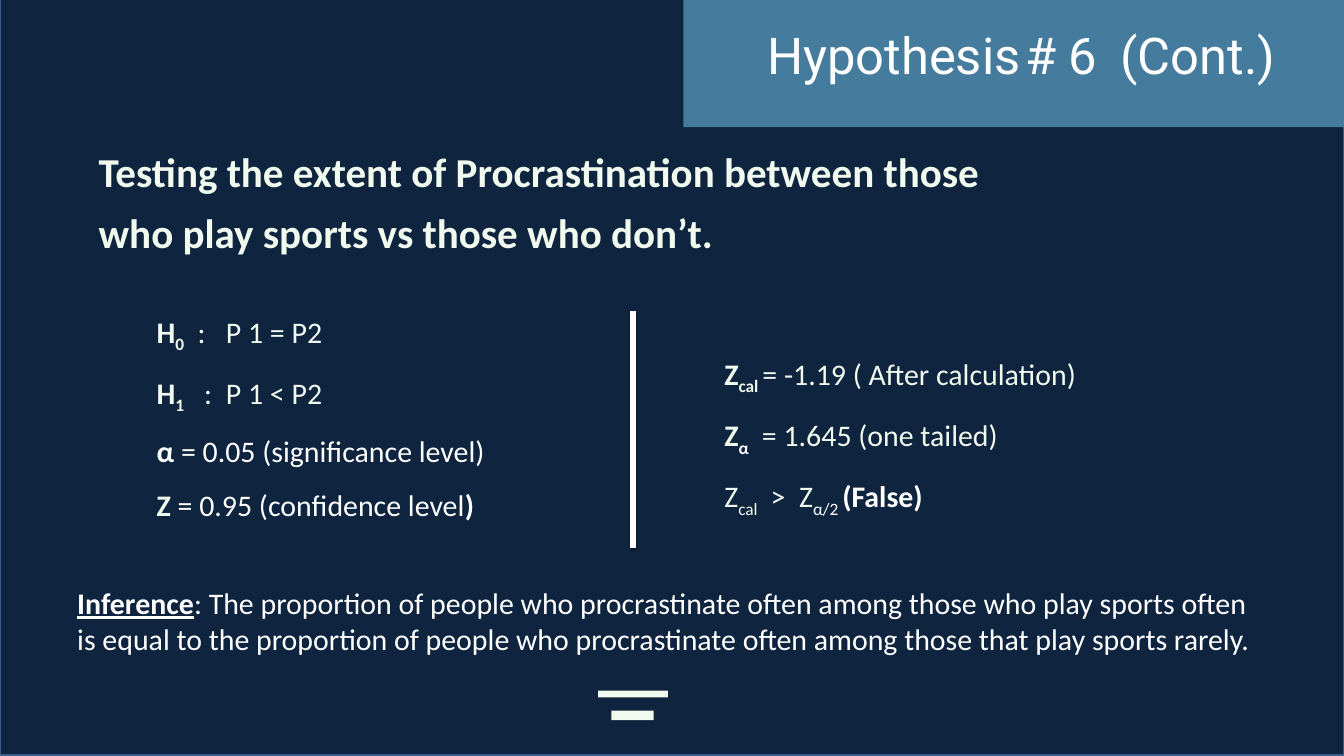
from dataclasses import dataclass, field

from lxml import etree
from pptx import Presentation
from pptx import util as u
from pptx.dml.color import RGBColor
from pptx.enum import shapes, text
from pptx.oxml.ns import qn

COLORS = {"base": "1D3557", "navy": "0F243E", "edge": "3A5F8C", "banner": "457B9D",
          "cream": "F1FAEE", "white": "FFFFFF", "shadow": "000000"}


@dataclass
class Bar:
    left: float
    top: float
    width: float
    height: float
    fill: str
    line: str = ""


@dataclass
class Run:
    text: str
    bold: bool = False
    sub: bool = False
    color: str = ""
    underline: bool = False
    size: float = 0


@dataclass
class Para:
    runs: list[Run]
    tabs: list[float] = field(default_factory=list)


@dataclass
class Box:
    left: float
    top: float
    width: float
    height: float
    paras: list[Para]
    size: float = 32
    color: str = "cream"
    font: str = "Calibri"
    spacing: float | u.Length | None = None
    inset: bool = True
    bottom: bool = False


BARS = [
    Bar(0, -0.04, 50.8, 28.58, "navy", "edge"),
    Bar(25.83, -0.04, 25.15, 4.85, "banner"),
    Bar(22.61, 26.11, 2.64, 0.26, "cream"),
    Bar(23.11, 26.87, 1.6, 0.36, "cream"),
]

BOXES = [
    Box(3.73, 5.11, 33.73, 4.42, [
        Para([Run("Testing the extent of Procrastination between those who play sports "
                  "vs those who don’t.", bold=True)]),
    ], size=44, spacing=u.Pt(65.2), inset=False),
    Box(2.67, 21.97, 45.49, 3, [
        Para([Run("Inference", bold=True, underline=True),
              Run(": The proportion of people who procrastinate often among those who play "
                  "sports often is equal to the proportion of people who procrastinate often "
                  "among those that play sports rarely.")]),
    ], color="white"),
    Box(5.92, 11.76, 24.21, 8, [
        Para([Run("H", True), Run("0", True, True), Run("\t:\tP 1 = P2")], [1.55, 2.62]),
        Para([Run("H", True), Run("1", True, True), Run("\t:\tP 1 < P2")], [1.8, 2.62]),
        Para([Run("α ", True, color="white"),
              Run("= 0.05 (significance level)", color="white")]),
        Para([Run("Z ", True), Run("= 0.95 (confidence level", color="white"),
              Run(")", True, color="white")]),
    ], spacing=1.5, inset=False, bottom=True),
    Box(27.13, 12.55, 22.5, 6.2, [
        Para([Run("Z", True), Run("cal ", True, True), Run("= -1.19 ( After calculation)")]),
        Para([Run("Z", True), Run("α", True, True, "white"),
              Run("\t= 1.645 (one tailed)")], [1.42]),
        Para([Run("Z"), Run("cal", sub=True), Run("\t>\tZ"),
              Run("α/2 ", sub=True, color="white"),
              Run("(False)", True, color="white")], [1.75, 2.83]),
    ], spacing=1.5),
    Box(28.75, 0.79, 20.12, 3.35, [
        Para([Run("Hypothesis"), Run(" ", size=18), Run("# 6\t(Cont.)")], [13.35]),
    ], size=54.3, color="white", font="Roboto"),
]


def rgb(name: str) -> RGBColor:
    """Return the named colour."""
    return RGBColor.from_string(COLORS[name])


def draw_bar(s, bar: Bar) -> None:
    """Draw a filled rectangle, outlined only when it has a line colour."""
    sp = s.shapes.add_shape(shapes.MSO_SHAPE.RECTANGLE, u.Cm(bar.left), u.Cm(bar.top),
                            u.Cm(bar.width), u.Cm(bar.height))
    sp.shadow.inherit = False
    sp.fill.solid()
    sp.fill.fore_color.rgb = rgb(bar.fill)
    if bar.line:
        sp.line.color.rgb = rgb(bar.line)
        sp.line.width = u.Pt(2)
    else:
        sp.line.fill.background()


def draw_run(p, run: Run, box: Box) -> None:
    """Add one formatted run, taking the defaults of its box."""
    r = p.add_run()
    r.text = run.text
    r.font.name = box.font
    r.font.size = u.Pt(run.size or box.size)
    r.font.bold = run.bold
    r.font.underline = run.underline
    r.font.color.rgb = rgb(run.color or box.color)
    if run.sub:
        r.font._element.set("baseline", "-25000")


def draw_box(s, box: Box) -> None:
    """Draw a wrapped text box with its paragraphs and tab stops."""
    sp = s.shapes.add_textbox(u.Cm(box.left), u.Cm(box.top), u.Cm(box.width), u.Cm(box.height))
    tf = sp.text_frame
    tf.word_wrap = True
    if box.bottom:
        tf.vertical_anchor = text.MSO_ANCHOR.BOTTOM
    if not box.inset:
        tf.margin_left = tf.margin_top = tf.margin_right = tf.margin_bottom = 0
    for i, para in enumerate(box.paras):
        p = tf.add_paragraph() if i else tf.paragraphs[0]
        if box.spacing:
            p.line_spacing = box.spacing
        if para.tabs:
            tabs = etree.SubElement(p._p.get_or_add_pPr(), qn("a:tabLst"))
            for stop in para.tabs:
                etree.SubElement(tabs, qn("a:tab"), pos=str(u.Cm(stop)), algn="l")
        for run in para.runs:
            draw_run(p, run, box)


def draw_divider(s, x: float, top: float, bottom: float) -> None:
    """Draw the vertical divider with its soft shadow."""
    line = s.shapes.add_connector(shapes.MSO_CONNECTOR.STRAIGHT, u.Cm(x), u.Cm(top),
                                  u.Cm(x), u.Cm(bottom))
    line.line.color.rgb = rgb("white")
    line.line.width = u.Pt(6)
    effects = etree.SubElement(line._element.spPr, qn("a:effectLst"))
    shadow = etree.SubElement(effects, qn("a:outerShdw"), blurRad=str(u.Pt(3.1)),
                              dist=str(u.Pt(1.8)), dir="5400000", rotWithShape="0")
    color = etree.SubElement(shadow, qn("a:srgbClr"), val=COLORS["shadow"])
    etree.SubElement(color, qn("a:alpha"), val="35000")


def main() -> None:
    """Build the hypothesis slide and save it."""
    prs = Presentation()
    prs.slide_width, prs.slide_height = u.Cm(50.8), u.Cm(28.58)
    s = prs.slides.add_slide(prs.slide_layouts[6])
    s.background.fill.solid()
    s.background.fill.fore_color.rgb = rgb("base")
    for bar in BARS:
        draw_bar(s, bar)
    for box in BOXES:
        draw_box(s, box)
    draw_divider(s, 23.93, 11.76, 20.73)
    prs.save("out.pptx")


if __name__ == "__main__":
    main()
